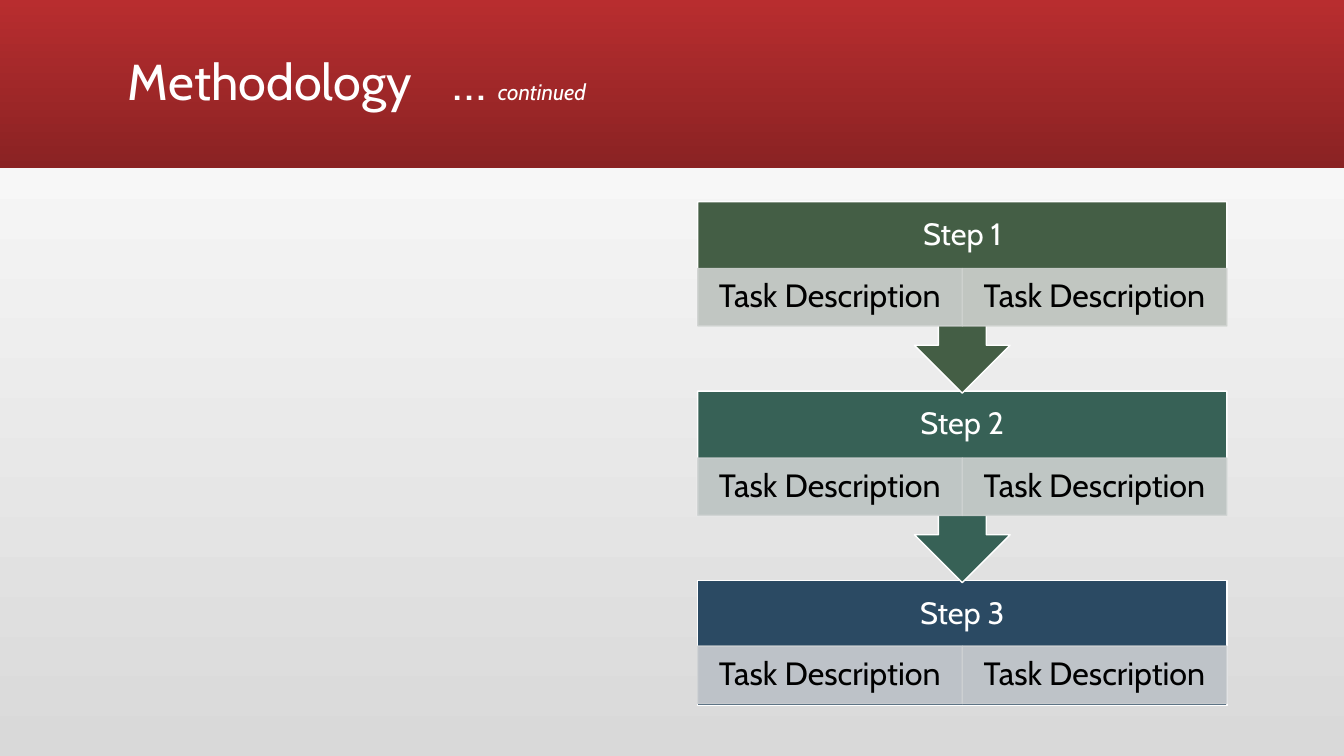
from lxml import etree
from pptx import Presentation
from pptx.dml.color import RGBColor
from pptx.enum.shapes import MSO_SHAPE
from pptx.enum.text import MSO_ANCHOR, PP_ALIGN
from pptx.oxml.ns import qn
from pptx.util import Inches, Pt

RECT = MSO_SHAPE.RECTANGLE
CALLOUT = MSO_SHAPE.DOWN_ARROW_CALLOUT
MIDDLE = MSO_ANCHOR.MIDDLE
LEFT, CENTER = PP_ALIGN.LEFT, PP_ALIGN.CENTER

WHITE = RGBColor(0xFF, 0xFF, 0xFF)
BLACK = RGBColor(0x00, 0x00, 0x00)
GREY = RGBColor(0xD9, 0xD9, 0xD9)
RED = RGBColor(0xB8, 0x2D, 0x2F)
WINE = RGBColor(0x8A, 0x22, 0x23)
GREEN = RGBColor(0x44, 0x5E, 0x45)
TEAL = RGBColor(0x37, 0x61, 0x56)
NAVY = RGBColor(0x2B, 0x4A, 0x63)
MOSS_A = RGBColor(0xCF, 0xD2, 0xD0)
MOSS_B = RGBColor(0xCF, 0xD2, 0xCF)
SAGE_A = RGBColor(0xCE, 0xD2, 0xD2)
SAGE_B = RGBColor(0xCE, 0xD2, 0xD1)
MIST_A = RGBColor(0xCD, 0xD0, 0xD3)
MIST_B = RGBColor(0xCE, 0xD1, 0xD3)


class Deck:
    """Places parts by percent of the slide's width and height."""

    font = "Cabin"

    def __init__(self, wide, high):
        self.prs = Presentation()
        self.prs.slide_width = Inches(wide)
        self.prs.slide_height = Inches(high)
        self.slide = self.prs.slides.add_slide(self.prs.slide_layouts[6])

    def place(self, x, y, w, h):
        wide, high = self.prs.slide_width, self.prs.slide_height
        return [int(size * part / 100) for size, part in
                ((wide, x), (high, y), (wide, w), (high, h))]

    def blend(self, fill, first, last, angle):
        fill.gradient()
        fill.gradient_angle = angle
        for stop, color in zip(fill.gradient_stops, (first, last)):
            stop.color.rgb = color

    def shape(self, kind, box):
        item = self.slide.shapes.add_shape(kind, *self.place(*box))
        item.shadow.inherit = False
        return item

    def band(self, box, first, last):
        item = self.shape(RECT, box)
        self.blend(item.fill, first, last, 270)
        item.line.fill.background()

    def block(self, kind, box, fill, line, alpha=100):
        item = self.shape(kind, box)
        item.fill.solid()
        item.fill.fore_color.rgb = fill
        item.line.color.rgb = line
        item.line.width = Pt(1)
        if alpha < 100:
            for color in item._element.spPr.iter(qn("a:srgbClr")):
                etree.SubElement(color, qn("a:alpha"), val=str(alpha * 1000))
        return item

    def label(self, box, *args):
        item = self.slide.shapes.add_textbox(*self.place(*box))
        return self.words(item, *args)

    def words(self, item, runs, color, align, side, edge):
        frame = item.text_frame
        frame.word_wrap = True
        frame.vertical_anchor = MIDDLE
        frame.margin_left = frame.margin_right = Inches(side)
        frame.margin_top = frame.margin_bottom = Inches(edge)
        para = frame.paragraphs[0]
        para.alignment = align
        para.line_spacing = 0.9
        for text, size, slant in runs:
            run = para.add_run()
            run.text = text
            run.font.name = self.font
            run.font.size = Pt(size)
            run.font.italic = slant
            run.font.color.rgb = color
        return para

    def tab(self, para, stop):
        tabs = etree.SubElement(para._p.get_or_add_pPr(), qn("a:tabLst"))
        etree.SubElement(tabs, qn("a:tab"), pos=str(Inches(stop)), algn="l")

    def step(self, name, kind, y, high, drop, fill, tints):
        self.block(kind, (COL, y, WIDE, high), fill, WHITE)
        self.label((COL, y, WIDE, HEAD), [(name, 22, False)],
                   WHITE, CENTER, 0.17, 0.17)
        half = WIDE / len(tints)
        for i, tint in enumerate(tints):
            cell = self.block(RECT, (COL + i * half, y + drop, half, CELL),
                              tint, tint, 90)
            self.words(cell, [("Task Description", 23, False)],
                       BLACK, CENTER, 0.18, 0.03)


# Step column, in percent of the slide
COL, WIDE = 51.91, 39.38
TOP, PITCH = 26.67, 25.07
HEAD, CELL = 8.93, 7.6

# Name, outline, height, offset of the task row, colours
STEPS = [
    ("Step 1", CALLOUT, 25.33, 8.85, GREEN, (MOSS_A, MOSS_B)),
    ("Step 2", CALLOUT, 25.33, 8.85, TEAL, (SAGE_A, SAGE_B)),
    ("Step 3", RECT, 16.53, 8.67, NAVY, (MIST_A, MIST_B)),
]


def main():
    deck = Deck(13.33, 7.5)

    # Backdrop and title band
    deck.blend(deck.slide.background.fill, GREY, WHITE, 90)
    deck.band((0, 0, 100, 22.27), RED, WINE)
    title = deck.label((8.78, 1.47, 82.52, 19.33),
                       [("Methodology\t… ", 36, False),
                        ("continued", 16, True)], WHITE, LEFT, 0.1, 0.05)
    deck.tab(title, 3.22)

    # Steps, last one first so that each arrow lies on the next step
    for i, (name, kind, high, drop, fill, tints) in reversed(
            list(enumerate(STEPS))):
        deck.step(name, kind, TOP + i * PITCH, high, drop, fill, tints)

    deck.prs.save("out.pptx")


if __name__ == "__main__":
    main()
